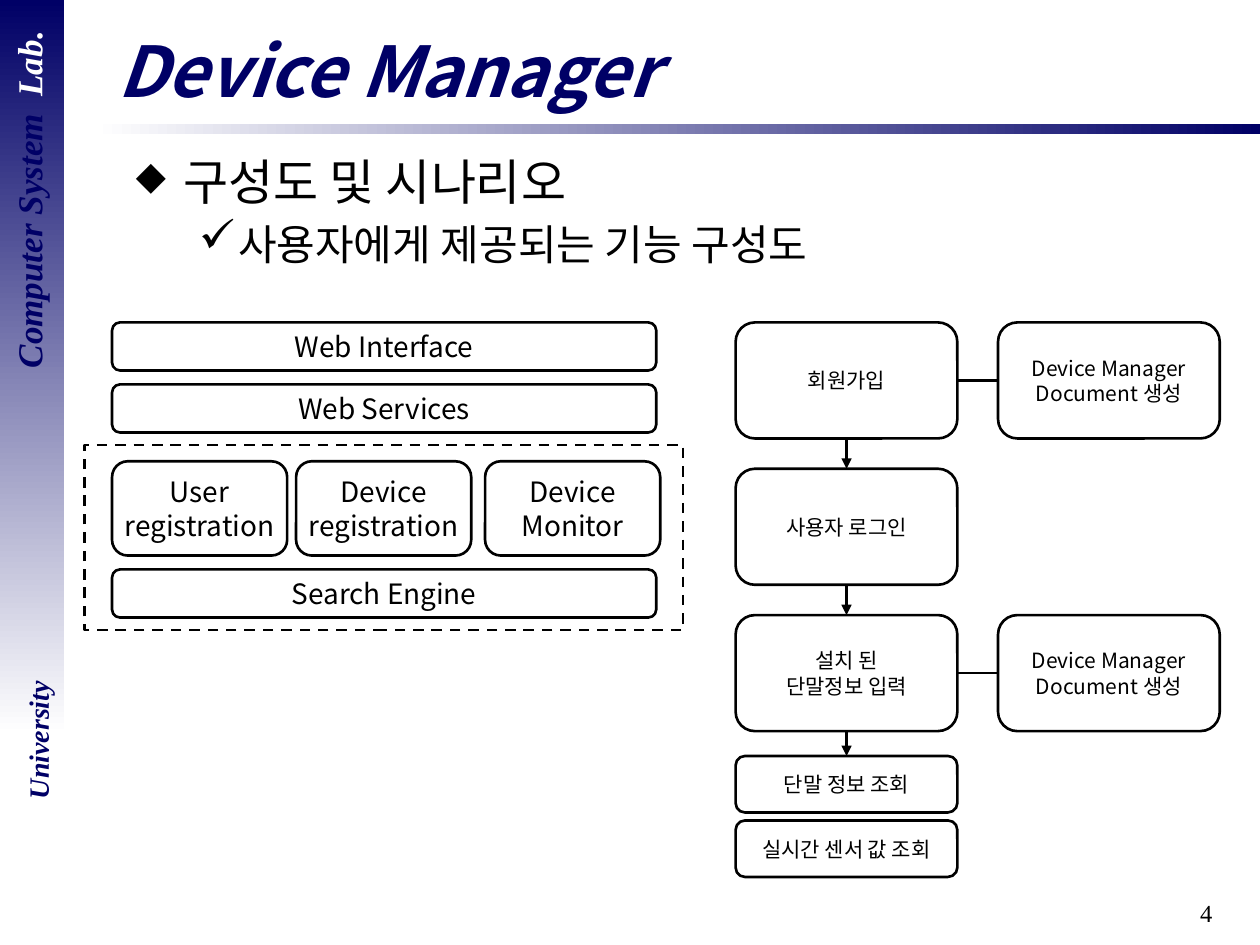
from dataclasses import dataclass

from lxml import etree
from pptx import Presentation
from pptx.dml.color import RGBColor
from pptx.enum.dml import MSO_LINE
from pptx.enum.shapes import MSO_CONNECTOR, MSO_SHAPE
from pptx.enum.text import MSO_ANCHOR, PP_ALIGN
from pptx.oxml.ns import qn
from pptx.util import Cm, Pt

RECTANGLE, ROUNDED = MSO_SHAPE.RECTANGLE, MSO_SHAPE.ROUNDED_RECTANGLE
STRAIGHT, DASH = MSO_CONNECTOR.STRAIGHT, MSO_LINE.DASH
LEFT, CENTER, RIGHT = PP_ALIGN.LEFT, PP_ALIGN.CENTER, PP_ALIGN.RIGHT
TOP, MIDDLE = MSO_ANCHOR.TOP, MSO_ANCHOR.MIDDLE


@dataclass(frozen=True)
class Theme:
    """Colours, fonts and sizes of the deck."""
    navy: RGBColor = RGBColor(0, 0, 0x66)
    black: RGBColor = RGBColor(0, 0, 0)
    white: RGBColor = RGBColor(255, 255, 255)
    sans: str = "Noto Sans CJK KR"
    serif: str = "Times New Roman"
    title: int = 40
    topic: int = 28
    detail: int = 24
    lab: int = 20
    layer: int = 16
    number: int = 14
    step: int = 12
    line: float = 1.5


THEME = Theme()


def lengths(*values):
    """Turn centimetres into lengths."""
    return [Cm(value) for value in values]


def add_span(para, text, size, color=THEME.black, name=THEME.sans, **styles):
    """Add one run of text, with the font set for Latin and Korean."""
    span = para.add_run()
    span.text = text
    formats = {"size": Pt(size), "name": name, **styles}
    for key, value in formats.items():
        setattr(span.font, key, value)
    span.font.color.rgb = color
    span.font.fill._xPr.find(qn("a:latin")).addnext(
        etree.Element(qn("a:ea"), typeface=name))


def add_text(page, box, spans, align=LEFT, anchor=TOP, rotation=0):
    """Add a one-line text box from (text, size, format) spans."""
    label = page.shapes.add_textbox(*lengths(*box))
    label.rotation = rotation
    frame = label.text_frame
    frame.word_wrap, frame.vertical_anchor = True, anchor
    para = frame.paragraphs[0]
    para.alignment = align
    for text, size, formats in spans:
        add_span(para, text, size, **formats)


def add_gradient(page, box, colors, angle):
    """Add a band that fades between two colours."""
    band = page.shapes.add_shape(RECTANGLE, *lengths(*box))
    band.shadow.inherit = False
    band.line.fill.background()
    band.fill.gradient()
    band.fill.gradient_angle = angle
    for stop, color in zip(band.fill.gradient_stops, colors):
        stop.color.rgb = color


def add_outline(page, box, text="", size=THEME.step, kind=ROUNDED, side=0.25):
    """Add an unfilled box with centred lines of text."""
    shape = page.shapes.add_shape(kind, *lengths(*box))
    shape.shadow.inherit = False
    shape.fill.background()
    shape.line.color.rgb = THEME.black
    shape.line.width = Pt(THEME.line)
    frame = shape.text_frame
    formats = {"word_wrap": True, "vertical_anchor": MIDDLE,
               "margin_left": Cm(side), "margin_right": Cm(side)}
    for key, value in formats.items():
        setattr(frame, key, value)
    for index, words in enumerate(text.split("\n") if text else []):
        para = frame.add_paragraph() if index else frame.paragraphs[0]
        para.alignment = CENTER
        add_span(para, words, size)
    return shape


def add_link(page, start, end, arrow=False):
    """Join two points by a line, with an arrowhead if asked."""
    link = page.shapes.add_connector(STRAIGHT, *lengths(*start, *end))
    link.line.color.rgb = THEME.black
    link.line.width = Pt(THEME.line)
    if arrow:
        etree.SubElement(link.line._get_or_add_ln(), qn("a:tailEnd"), type="triangle")
    etree.SubElement(link._element.spPr, qn("a:effectLst"))


def add_sidebar(page, box):
    """Place the fading band and its two upright labels."""
    left, top, width, height = box
    add_gradient(page, box, (THEME.navy, THEME.white), 270)
    serif = {"name": THEME.serif, "color": THEME.navy, "bold": True, "italic": True}
    add_text(page, (left - 3.33, top + 3.48, 7.8, 1.09),
             [("Computer System  ", THEME.lab, serif),
              ("Lab.", THEME.lab, {**serif, "color": THEME.white})], CENTER, rotation=270)
    add_text(page, (left - 1.04, top + 14.45, 3.61, 0.94),
             [("University", THEME.layer, serif)], CENTER, rotation=270)


def add_heading(page, box):
    """Place the title and the rule below it."""
    left, top, width, height = box
    add_gradient(page, (left, top + 2.08, width, 0.2), (THEME.white, THEME.navy), 0)
    add_text(page, (left + 0.21, top, 22.61, 1.96),
             [("Device Manager", THEME.title,
               {"color": THEME.navy, "bold": True, "italic": True})], anchor=MIDDLE)


def add_bullets(page, box):
    """Place the topic and its detail as bulleted paragraphs."""
    items = [("구성도 및 시나리오", THEME.topic, "◆", 80, 0.97, 0.97),
             ("사용자에게 제공되는 기능 구성도", THEME.detail, "✓", 110, 2.06, 0.79)]
    frame = page.shapes.add_textbox(*lengths(*box)).text_frame
    frame.word_wrap = True
    for level, (text, size, mark, percent, margin, hang) in enumerate(items):
        para = frame.add_paragraph() if level else frame.paragraphs[0]
        para.level = level
        para.space_before = Pt(size * 0.2)
        add_span(para, text, size)
        props = para._p.get_or_add_pPr()
        props.set("marL", str(Cm(margin)))
        props.set("indent", str(-Cm(hang)))
        etree.SubElement(props, qn("a:buSzPct"), val=str(percent * 1000))
        etree.SubElement(props, qn("a:buChar"), char=mark)


def add_architecture(page, box):
    """Place the layers, with the core modules in a dashed frame."""
    left, top, width, height = box
    inner = left + 0.56
    frame = add_outline(page, (left, top + 2.47, width, height - 2.47), kind=RECTANGLE)
    frame.line.dash_style = DASH
    layers = [("Web Interface", 0), ("Web Services", 1.25), ("Search Engine", 4.98)]
    for text, offset in layers:
        add_outline(page, (inner, top + offset, 10.97, 0.97), text, THEME.layer, side=0)
    modules = [("User\nregistration", 0), ("Device\nregistration", 3.71),
               ("Device\nMonitor", 7.52)]
    for text, offset in modules:
        add_outline(page, (inner + offset, top + 2.8, 3.53, 1.9), text, THEME.layer, side=0)


def add_scenario(page, box):
    """Place the user's steps, their documents and the links."""
    left, top, width, height = box
    step_width, tall, low = 4.47, 2.34, 1.14
    document_left = left + width - step_width
    middle = left + step_width / 2
    steps = [("회원가입", 0, tall, True), ("사용자 로그인", 2.95, tall, False),
             ("설치 된\n단말정보 입력", 5.9, tall, True),
             ("단말 정보 조회", 8.74, low, False),
             ("실시간 센서 값 조회", height - low, low, False)]
    for text, offset, step_height, has_document in steps:
        step_top = top + offset
        add_outline(page, (left, step_top, step_width, step_height), text)
        if has_document:
            add_outline(page, (document_left, step_top, step_width, step_height),
                        "Device Manager\nDocument 생성")
            center = step_top + step_height / 2
            add_link(page, (left + step_width, center), (document_left, center))
    for upper, lower in zip(steps[:3], steps[1:4]):
        add_link(page, (middle, top + upper[1] + upper[2]), (middle, top + lower[1]), True)


def main():
    """Build the slide and save it."""
    deck = Presentation()
    deck.slide_width, deck.slide_height = lengths(25.4, 19.05)
    page = deck.slides.add_slide(deck.slide_layouts[6])
    add_sidebar(page, (0, 0, 1.3, 14.81))
    add_heading(page, (1.9, 0.43, 23.5, 2.28))
    add_bullets(page, (2.49, 2.92, 22.38, 15.7))
    add_architecture(page, (1.7, 6.5, 12.07, 6.2))
    add_scenario(page, (14.83, 6.5, 9.76, 11.18))
    add_text(page, (19.41, 17.98, 5.28, 1.07),
             [("4", THEME.number, {"name": THEME.serif})], RIGHT)
    deck.save("out.pptx")


main()
